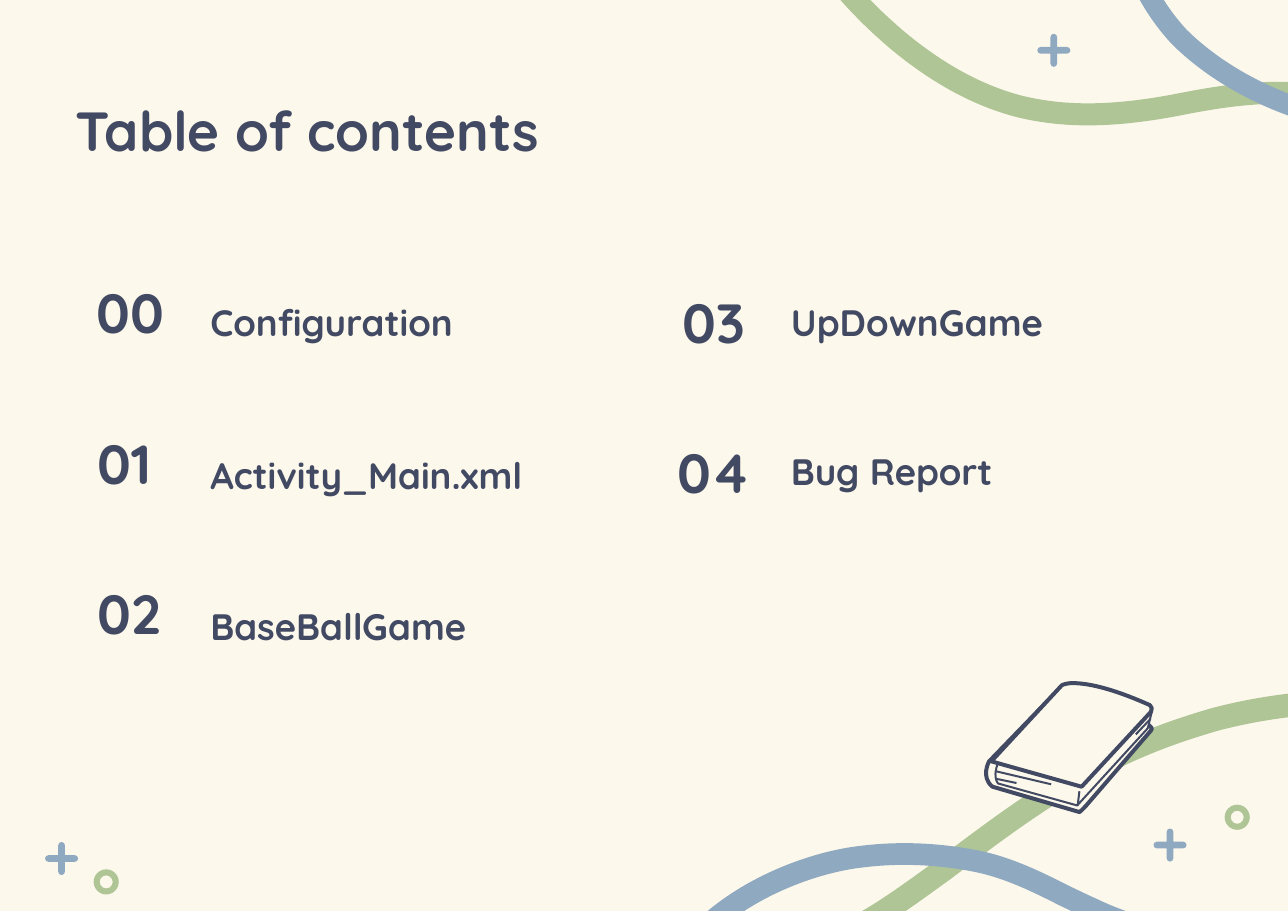
import lxml.etree
import pptx
import pptx.dml.color
import pptx.enum.shapes
import pptx.enum.text
import pptx.oxml.ns
import pptx.util

Cm = pptx.util.Cm
Pt = pptx.util.Pt

COLORS = {"cream": "FCF8EB", "green": "AFC596", "blue": "8FA9C0", "navy": "424963"}
FONT = "Quicksand"
UNIT = Cm(0.0254)  # one step of the path coordinates

# Paths: M starts, L draws lines, C draws cubic curves.
BANDS = [
    ("green", 15.3, "M 628,850 C 648,864 675,868 698,866 709,866 721,864 733,860 "
                    "778,848 818,817 857,789 915,745 969,705 1032,678 "
                    "1055,668 1080,659.5 1104.5,652.5 1149,641 1194,636 1239,636.5"),
    ("green", 14.4, "M 755,-25 C 771,-5 788,13 805,28 816,38 828,47.5 839.5,55.5 "
                    "866.5,74.5 894,88 923,96 966,107 1011,106 1067,95.5 "
                    "1107.5,87.5 1156.5,79 1204.5,88.5 1225,94 1243.5,104 1259,119"),
    ("blue", 14.2, "M 1107,853.5 C 1067,851.5 1026.5,841.5 992,825 983,821 974,816.5 965.5,812.5 "
                   "940,799.5 914,787 886,781.5 853,775 817.5,773 782,777.5 "
                   "741.5,782 681,803 639,843"),
    ("blue", 13.5, "M 1039,-12.5 C 1039.5,-11 1049,10 1070,33 1091.5,54.5 1128.5,82 1184,100"),
]
PLUS = ("M 15,0 C 13.3,0 12,1.3 12,3 L 12,12 3,12 C 1.3,12 0,13.3 0,15 0,16.7 1.3,18 3,18 "
        "L 12,18 12,27 C 12,28.7 13.3,30 15,30 16.7,30 18,28.7 18,27 L 18,18 27,18 "
        "C 28.7,18 30,16.7 30,15 30,13.3 28.7,12 27,12 L 18,12 18,3 C 18,1.3 16.7,0 15,0")
BACK_COVER = ("M 957,630 L 898,691 C 898,691 890,705 901,714 L 980,737 C 980,737 982,736 988,729 "
              "L 1045,663 C 1046,662 1046,661 1045,660 1044,659 1044,659 1043,658 L 957,630")
PAGES = ("M 970,626 L 906,693 C 906,693 901,704 906,711 L 978,731 1042,661 1046,645 "
         "C 1047,644 1046,642 1044,642 L 970,626")
FRONT_COVER = ("M 974,620 C 967,620 964,622 964,622 L 900,691 982,714 1045,646 "
               "C 1046,644 1046,641 1044,640 1006,623 985,620 974,620")
PAGE_LINES = [(22.97, 17.78, 24.24, 18.08), (22.96, 17.95, 23.44, 18.05),
              (24.89, 18.24, 24.85, 18.57), (26.53, 16.57, 26.19, 16.93)]

# number, its left and top, topic, its left and top
CONTENTS = [
    ("00", 1.9, 6.6, "Configuration", 4.52, 5.79),
    ("01", 1.93, 10.08, "Activity_Main.xml", 4.52, 9.3),
    ("02", 1.93, 13.56, "BaseBallGame", 4.52, 12.8),
    ("03", 15.42, 6.83, "UpDownGame", 17.91, 5.79),
    ("04", 15.29, 10.29, "Bug Report", 17.91, 9.22),
]


def rgb(name):
    return pptx.dml.color.RGBColor.from_string(COLORS[name])


def read_path(path):
    """Return the points of a path and the command that each belongs to."""
    points, commands, command = [], [], ""
    for token in path.split():
        if token.isalpha():
            command = token
        else:
            points.append(tuple(float(value) for value in token.split(",")))
            commands.append(command)
    return points, commands


def bend(shape, commands):
    """Turn each three segments of a C command into one cubic curve."""
    segments = list(shape._element.iter(pptx.oxml.ns.qn("a:lnTo")))
    curved = [segment for segment, command in zip(segments, commands[1:]) if command == "C"]
    for first, second, third in zip(curved[::3], curved[1::3], curved[2::3]):
        curve = lxml.etree.Element(pptx.oxml.ns.qn("a:cubicBezTo"))
        first.addprevious(curve)
        for segment in (first, second, third):
            curve.append(segment[0])
            segment.getparent().remove(segment)


class SlideBuilder:
    def __init__(self, presentation):
        self.slide = presentation.slides.add_slide(presentation.slide_layouts[6])
        self.shapes = self.slide.shapes
        self.slide.background.fill.solid()
        self.slide.background.fill.fore_color.rgb = rgb("cream")

    def style(self, shape, fill=None, line=None, line_width=0):
        shape.shadow.inherit = False
        if fill:
            shape.fill.solid()
            shape.fill.fore_color.rgb = rgb(fill)
        else:
            shape.fill.background()
        if line:
            shape.line.color.rgb = rgb(line)
            shape.line.width = Pt(line_width)
        else:
            shape.line.fill.background()

    def outline(self, path, left=0, top=0, close=True, **style):
        """Draw a path, moved by left and top in cm."""
        points, commands = read_path(path)
        points = [(Cm(left) + x * UNIT, Cm(top) + y * UNIT) for x, y in points]
        builder = self.shapes.build_freeform(*points[0])
        builder.add_line_segments(points[1:], close=close)
        shape = builder.convert_to_shape()
        bend(shape, commands)
        self.style(shape, **style)

    def ring(self, left, top):
        shape = self.shapes.add_shape(pptx.enum.shapes.MSO_SHAPE.DONUT,
                                      Cm(left), Cm(top), Cm(0.58), Cm(0.58))
        shape.adjustments[0] = 0.24
        self.style(shape, fill="green")

    def line(self, *ends):
        connector = self.shapes.add_connector(pptx.enum.shapes.MSO_CONNECTOR.STRAIGHT,
                                              *(Cm(value) for value in ends))
        connector.line.color.rgb = rgb("navy")
        connector.line.width = Pt(1.3)
        lxml.etree.SubElement(connector._element.spPr, pptx.oxml.ns.qn("a:effectLst"))

    def text(self, text, left, top, width, height, size, middle=True, spacing=1.0):
        box = self.shapes.add_textbox(Cm(left), Cm(top), Cm(width), Cm(height))
        frame = box.text_frame
        frame.word_wrap = True
        frame.margin_left = frame.margin_right = Cm(0.33)
        frame.margin_top = frame.margin_bottom = Cm(0.33)
        anchor = pptx.enum.text.MSO_ANCHOR
        frame.vertical_anchor = anchor.MIDDLE if middle else anchor.TOP
        frame.text = text
        paragraph = frame.paragraphs[0]
        paragraph.line_spacing = spacing
        font = paragraph.runs[0].font
        font.name, font.size, font.bold = FONT, Pt(size), True
        font.color.rgb = rgb("navy")

    def book(self):
        self.shapes = self.slide.shapes.add_group_shape().shapes
        self.outline(BACK_COVER, fill="cream", line="navy", line_width=2.6)
        self.outline(PAGES, fill="cream", line="navy", line_width=1.3)
        for ends in PAGE_LINES:
            self.line(*ends)
        self.outline(FRONT_COVER, fill="cream", line="navy", line_width=2.6)
        self.shapes = self.slide.shapes


def main():
    presentation = pptx.Presentation()
    presentation.slide_width, presentation.slide_height = Cm(29.7), Cm(21)
    builder = SlideBuilder(presentation)
    for color, width, path in BANDS:
        builder.outline(path, close=False, line=color, line_width=width)
    for left, top in [(26.6, 19.1), (23.92, 0.78), (1.04, 19.41)]:
        builder.outline(PLUS, left, top, fill="blue")
    for left, top in [(28.24, 18.55), (2.16, 20.04)]:
        builder.ring(left, top)
    builder.text("Table of contents", 1.42, 1.9, 26.82, 2.26, 36, middle=False)
    for number, number_left, number_top, topic, left, top in CONTENTS:
        builder.text(number, number_left, number_top, 2.46, 1.14, 36)
        builder.text(topic, left, top, 9.83, 3.12, 24, spacing=1.15)
    builder.book()
    presentation.save("out.pptx")


if __name__ == "__main__":
    main()
